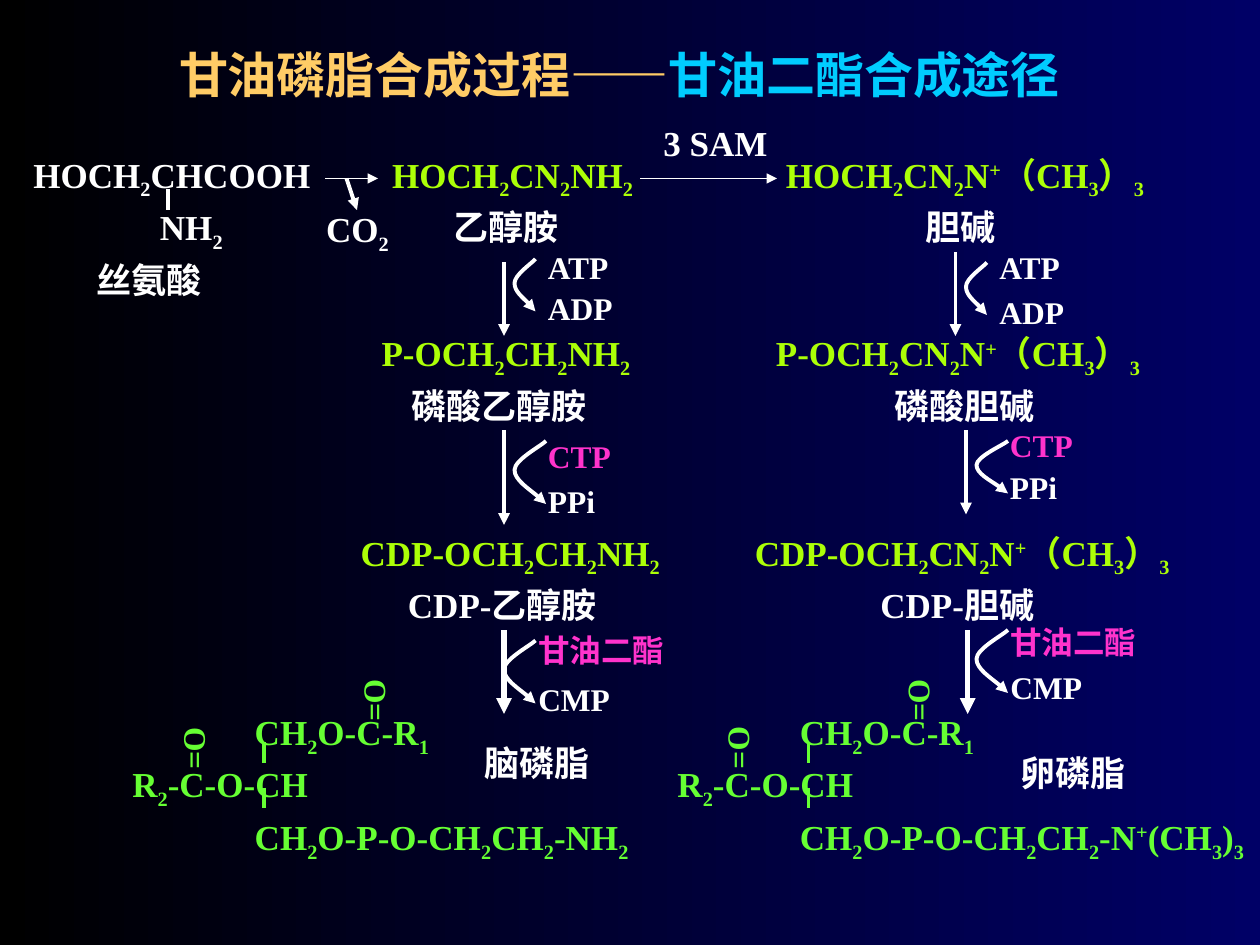
from lxml import etree
from pptx import Presentation
from pptx.dml.color import RGBColor
from pptx.enum.shapes import MSO_CONNECTOR as Connector
from pptx.enum.text import MSO_ANCHOR as Anchor, MSO_AUTO_SIZE as AutoSize, PP_ALIGN as Align
from pptx.oxml.ns import qn
from pptx.util import Pt

FONT = "Times New Roman"
WHITE, LIME, GREEN, PINK = "FFFFFF", "ACFF07", "66FF33", "FF33CC"
ORANGE, CYAN = "FFCC66", "00CCFF"
BASELINES = {"_": "-25000", "^": "30000"}
CURVE = [
    [(0.84, 0.08), (0, 0.3), (0, 0.46)],
    [(0, 0.62), (0.8, 0.88), (1, 1)],
]


def color(hex_string):
    return RGBColor.from_string(hex_string)


def add_run(paragraph, text, size, hex_color, baseline=None):
    run = paragraph.add_run()
    run.text = text
    run.font.name = FONT
    run.font.size = Pt(size)
    run.font.bold = True
    run.font.color.rgb = color(hex_color)
    if baseline:
        run.font._element.set("baseline", baseline)


def add_formula(paragraph, formula, size, hex_color):
    plain = ""
    characters = iter(formula)
    for character in characters:
        if character in BASELINES:
            if plain:
                add_run(paragraph, plain, size, hex_color)
            add_run(paragraph, next(characters), size, hex_color, BASELINES[character])
            plain = ""
        else:
            plain += character
    if plain:
        add_run(paragraph, plain, size, hex_color)


def add_text(slide, left, top, width, height, lines, size=20, spacing=None,
             gap=0, indents=(), vertical=False):
    slack = 0 if vertical else 4
    box = slide.shapes.add_textbox(Pt(left), Pt(top), Pt(width + slack), Pt(height))
    frame = box.text_frame
    frame.word_wrap = False
    frame.auto_size = AutoSize.NONE if vertical else AutoSize.SHAPE_TO_FIT_TEXT
    side, end = (3.6, 7.2) if vertical else (7.2, 3.6)
    frame.margin_left = frame.margin_right = Pt(side)
    frame.margin_top = frame.margin_bottom = Pt(end)
    if vertical:
        frame._txBody.bodyPr.set("vert", "eaVert")
    for index, (formula, hex_color) in enumerate(lines):
        paragraph = frame.add_paragraph() if index else frame.paragraphs[0]
        if index and gap:
            paragraph.space_before = Pt(gap)
        if spacing:
            paragraph.line_spacing = spacing
        if indents:
            paragraph._p.get_or_add_pPr().set("marL", str(Pt(indents[index])))
        add_formula(paragraph, formula, size, hex_color)


def add_arrowhead(shape):
    etree.SubElement(shape.line._get_or_add_ln(), qn("a:tailEnd"), type="triangle")


def add_line(slide, start, end, weight=2.25, hex_color=WHITE, arrow=True):
    points = [Pt(value) for value in (*start, *end)]
    line = slide.shapes.add_connector(Connector.STRAIGHT, *points)
    line.line.width = Pt(weight)
    line.line.color.rgb = color(hex_color)
    if arrow:
        add_arrowhead(line)
    etree.SubElement(line._element.spPr, qn("a:effectLst"))


def add_curve(slide, left, top, width, height):
    def place(x, y):
        return Pt(left + x * width), Pt(top + y * height)

    builder = slide.shapes.build_freeform(*place(1, 0))
    builder.add_line_segments([place(*segment[-1]) for segment in CURVE], close=False)
    shape = builder.convert_to_shape()
    segments = list(shape._element.iter(qn("a:lnTo")))
    for segment, points in zip(segments, CURVE):
        bezier = etree.Element(qn("a:cubicBezTo"))
        for x, y in points:
            etree.SubElement(bezier, qn("a:pt"), x=str(Pt(x * width)), y=str(Pt(y * height)))
        segment.getparent().replace(segment, bezier)
    shape.fill.background()
    shape.line.color.rgb = color(WHITE)
    shape.line.width = Pt(2.25)
    shape.shadow.inherit = False
    add_arrowhead(shape)


def add_title(slide):
    box = slide.shapes.add_textbox(Pt(48), Pt(18), Pt(612), Pt(48))
    frame = box.text_frame
    frame.word_wrap = True
    frame.vertical_anchor = Anchor.MIDDLE
    paragraph = frame.paragraphs[0]
    paragraph.alignment = Align.CENTER
    add_run(paragraph, "甘油磷脂合成过程——", 28, ORANGE)
    add_run(paragraph, "甘油二酯合成途径", 28, CYAN)


def add_serine(slide):
    add_text(slide, 12, 84, 173, 34.5, [("HOCH_2CHCOOH", WHITE)])
    add_line(slide, (96, 108), (96, 120), arrow=False)
    add_text(slide, 84.3, 114, 50.5, 34.5, [("NH_2", WHITE)])
    add_text(slide, 48, 144, 74, 31.5, [("丝氨酸", WHITE)])
    add_line(slide, (186, 102), (216, 102), 0.75)
    add_line(slide, (198, 102), (204, 120))
    add_text(slide, 179.3, 115, 50.5, 34.5, [("CO_2", WHITE)])
    add_line(slide, (366, 102), (444, 102), 0.75)
    add_text(slide, 372, 66, 73.5, 31.5, [("3 SAM", WHITE)])


def add_compounds(slide, compounds):
    for top, (left, width, formula, name_left, name_width, name) in zip((84, 186, 300), compounds):
        add_text(slide, left, top, width, 34.5, [(formula, LIME)])
        add_text(slide, name_left, top + 30, name_width, 31.5, [(name, WHITE)])


def add_step(slide, arrow, curve, cofactors, box, **layout):
    x, top, bottom, weight = arrow
    add_line(slide, (x, top), (x, bottom), weight)
    add_curve(slide, *curve)
    before, after, first_color = cofactors
    add_text(slide, *box, [(before, first_color), (after, WHITE)], size=18, **layout)


def add_product(slide, left, width, amine, oxygens, bond_x, name, name_position):
    lines = ["CH_2O-C-R_1", "R_2-C-O-CH", "CH_2O-P-O-CH_2CH_2-" + amine]
    add_text(slide, left, 399.7, width, 97, [(line, GREEN) for line in lines],
             spacing=1.1, indents=(70, 0, 70))
    for x, y in oxygens:
        add_text(slide, x, y, 36, 31.5, [("O=", GREEN)], size=18, vertical=True)
    for y in (424, 450):
        add_line(slide, (bond_x, y), (bond_x, y + 12), hex_color=GREEN, arrow=False)
    add_text(slide, *name_position, 74, 31.5, [(name, WHITE)])


def add_ethanolamine_branch(slide):
    add_compounds(slide, [
        (217, 152, "HOCH_2CN_2NH_2", 252, 74, "乙醇胺"),
        (211, 156, "P-OCH_2CH_2NH_2", 228, 114.5, "磷酸乙醇胺"),
        (199, 185, "CDP-OCH_2CH_2NH_2", 226, 127, "CDP-乙醇胺"),
    ])
    add_step(slide, (288, 150, 192, 2.25), (294, 148, 12, 30), ("ATP", "ADP", WHITE),
             (306, 138, 51, 52.5), gap=2.2)
    add_step(slide, (288, 246, 300, 2.25), (294, 252, 18, 36), ("CTP", "PPi", PINK),
             (306, 246, 50.5, 54.5), gap=4.5)
    add_step(slide, (288, 360, 408, 3), (288, 366, 18, 36), ("甘油二酯", "CMP", PINK),
             (300.5, 350.5, 86.5, 63.5), spacing=1.3)
    add_product(slide, 68.5, 298, "NH_2", [(194, 381), (91, 408.5)], 151,
                "脑磷脂", (270, 420))


def add_choline_branch(slide):
    tail = "CN_2N^+（CH_3）_3"
    add_compounds(slide, [
        (442, 238.5, "HOCH_2" + tail, 522, 54, "胆碱"),
        (436.3, 241, "P-OCH_2" + tail, 504, 94.5, "磷酸胆碱"),
        (424.3, 270, "CDP-OCH_2" + tail, 496, 107, "CDP-胆碱"),
    ])
    add_step(slide, (546, 144, 192, 2.25), (552, 150, 12, 30), ("ATP", "ADP", WHITE),
             (564, 138, 51, 54.5), gap=4.5)
    add_step(slide, (552, 246, 294, 2.25), (558, 252, 18, 30), ("CTP", "PPi", PINK),
             (570, 240, 50.5, 52.5), gap=2.2)
    add_step(slide, (553, 360, 408, 3), (558, 360, 18, 36), ("甘油二酯", "CMP", PINK),
             (570.3, 348, 86.5, 59), spacing=1.2)
    add_product(slide, 380, 338.5, "N^+(CH_3)_3", [(505, 381), (402, 408)], 462,
                "卵磷脂", (576, 426))


def main():
    presentation = Presentation()
    presentation.slide_width, presentation.slide_height = Pt(720), Pt(540)
    slide = presentation.slides.add_slide(presentation.slide_layouts[6])
    fill = slide.background.fill
    fill.gradient()
    fill.gradient_angle = 0
    for stop, hex_color in zip(fill.gradient_stops, ("000000", "000066")):
        stop.color.rgb = color(hex_color)
    add_title(slide)
    add_serine(slide)
    add_choline_branch(slide)
    add_ethanolamine_branch(slide)
    presentation.save("out.pptx")


if __name__ == "__main__":
    main()
